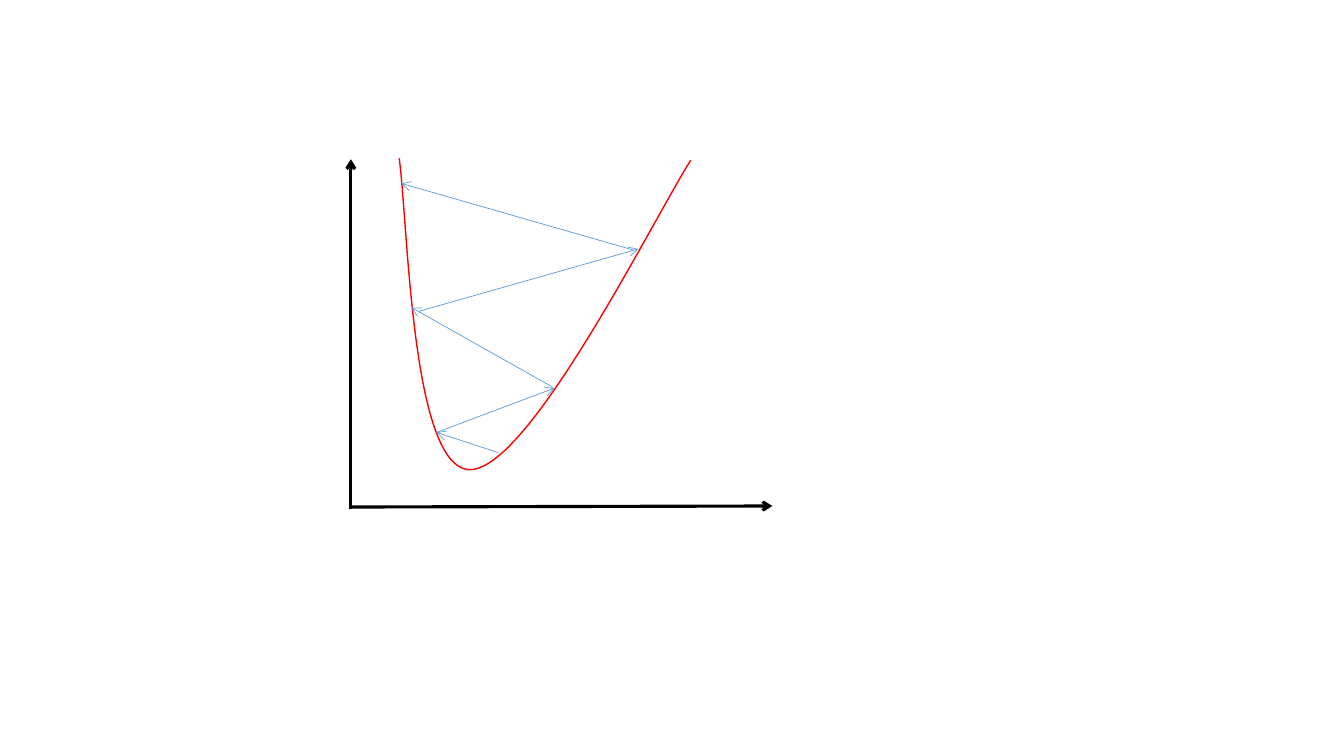
from dataclasses import dataclass

from lxml import etree
from pptx import Presentation
from pptx.dml.color import RGBColor
from pptx.enum import shapes
from pptx.oxml import ns
from pptx.util import Inches, Pt

Point = tuple[float, float]


@dataclass(frozen=True)
class Stroke:
    color: RGBColor
    width: float


@dataclass(frozen=True)
class Theme:
    axis: Stroke = Stroke(RGBColor(0x00, 0x00, 0x00), 2.25)
    curve: Stroke = Stroke(RGBColor(0xFF, 0x00, 0x00), 1)
    step: Stroke = Stroke(RGBColor(0x5B, 0x9B, 0xD5), 0.5)


@dataclass(frozen=True)
class Arrow:
    start: Point
    end: Point
    stroke: Stroke


@dataclass(frozen=True)
class Bezier:
    start: Point
    first_control: Point
    second_control: Point
    end: Point

    def point_at(self, t: float) -> Point:
        weights = ((1 - t) ** 3, 3 * t * (1 - t) ** 2, 3 * t**2 * (1 - t), t**3)
        anchors = (self.start, self.first_control, self.second_control, self.end)
        x, y = (sum(w * a[axis] for w, a in zip(weights, anchors)) for axis in (0, 1))
        return x, y


THEME = Theme()
CURVE_STEPS = 40

AXES = [
    Arrow((3.48, 5.05), (3.48, 1.58), THEME.axis),
    Arrow((3.47, 5.03), (7.66, 5.02), THEME.axis),
]
VALLEY = [
    Bezier((3.96, 1.57), (4.05, 2.25), (4.08, 4.65), (4.66, 4.66)),
    Bezier((4.66, 4.66), (5.24, 4.66), (6.43, 2.27), (6.85, 1.59)),
]
DIVERGING_STEPS = [
    Arrow((4.94, 4.49), (4.33, 4.29), THEME.step),
    Arrow((4.33, 4.29), (5.5, 3.85), THEME.step),
    Arrow((5.48, 3.84), (4.08, 3.05), THEME.step),
    Arrow((4.15, 3.09), (6.33, 2.47), THEME.step),
    Arrow((6.28, 2.48), (3.98, 1.82), THEME.step),
]


def apply_stroke(shape, stroke: Stroke) -> None:
    shape.line.color.rgb = stroke.color
    shape.line.width = Pt(stroke.width)


def draw_arrow(page, arrow: Arrow) -> None:
    ends = [Inches(value) for value in (*arrow.start, *arrow.end)]
    connector = page.shapes.add_connector(shapes.MSO_CONNECTOR.STRAIGHT, *ends)
    apply_stroke(connector, arrow.stroke)
    etree.SubElement(connector.get_or_add_ln(), ns.qn("a:tailEnd"), type="arrow")
    etree.SubElement(connector.element.spPr, ns.qn("a:effectLst"))


def draw_curve(page, pieces: list[Bezier], stroke: Stroke) -> None:
    points = [
        piece.point_at(step / CURVE_STEPS)
        for piece in pieces
        for step in range(1, CURVE_STEPS + 1)
    ]
    start_x, start_y = pieces[0].start
    builder = page.shapes.build_freeform(Inches(start_x), Inches(start_y))
    builder.add_line_segments([(Inches(x), Inches(y)) for x, y in points], close=False)
    curve = builder.convert_to_shape()
    curve.shadow.inherit = False
    curve.fill.background()
    apply_stroke(curve, stroke)


def main() -> None:
    deck = Presentation()
    deck.slide_width = Inches(13.33)
    deck.slide_height = Inches(7.5)
    page = deck.slides.add_slide(deck.slide_layouts[6])
    for axis in AXES:
        draw_arrow(page, axis)
    draw_curve(page, VALLEY, THEME.curve)
    for step in DIVERGING_STEPS:
        draw_arrow(page, step)
    deck.save("out.pptx")


if __name__ == "__main__":
    main()
